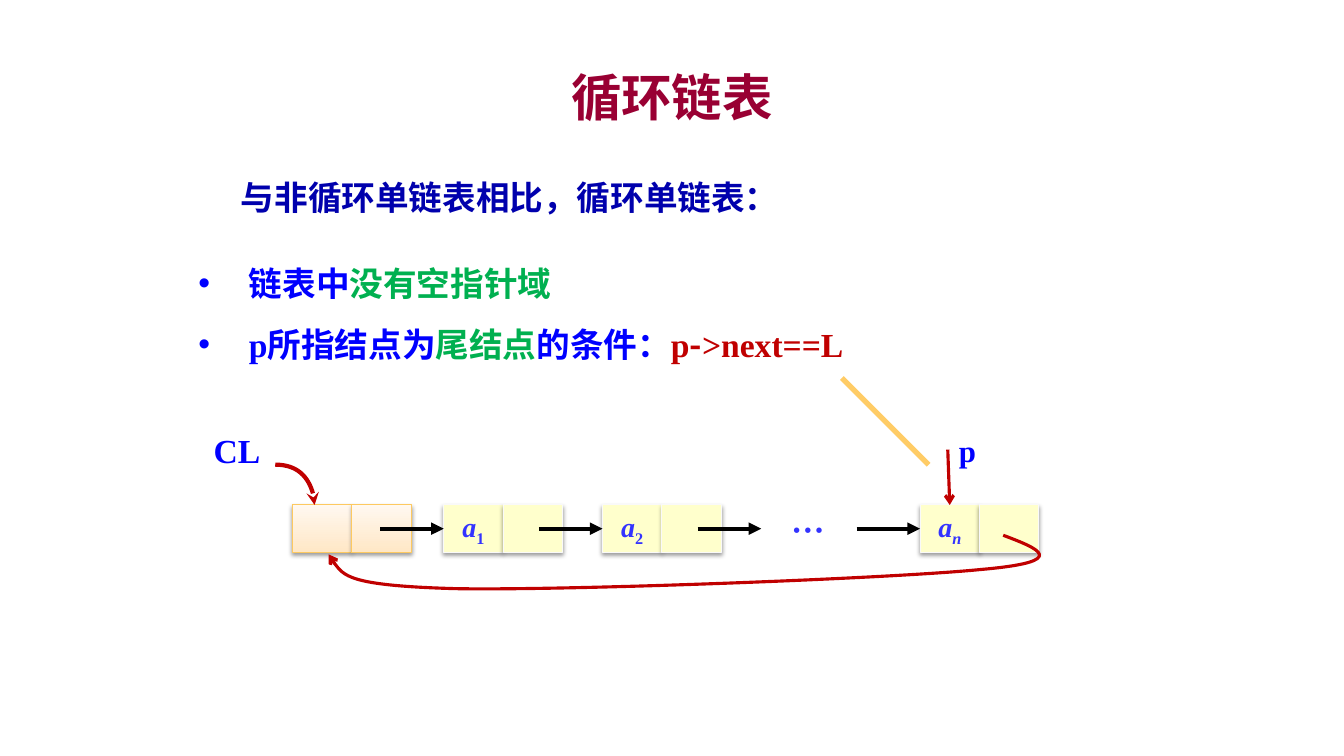
from lxml.etree import SubElement
from pptx import Presentation
from pptx.dml.color import RGBColor
from pptx.enum.shapes import MSO_CONNECTOR, MSO_SHAPE
from pptx.enum.text import MSO_ANCHOR, PP_ALIGN
from pptx.oxml import parse_xml
from pptx.oxml.ns import nsdecls, qn
from pptx.util import Inches, Pt

COLORS = {
    "title": "990033", "intro": "0000AD", "blue": "0000FF", "green": "00B050",
    "red": "C00000", "data": "3333FF", "node": "FFFFCC", "node_edge": "F9F9F9",
    "head_bottom": "FFE7C6", "head_top": "FFF8F0", "head_edge": "FDC960",
    "link": "000000", "pointer": "FFCC66",
}
SERIF, SANS = "Times New Roman", "Noto Sans CJK SC"
CELL_W, CELL_H, ROW_Y = 0.59, 0.47, 5.01
HEAD_X, FIRST_X, STEP = 2.9, 4.4, 1.575
LINK_Y, LINK_LENGTH = ROW_Y + CELL_H / 2, 0.63


def rgb(name):
    return RGBColor.from_string(COLORS[name])


def write(paragraph, text, size=24, color="blue", font=SERIF, italic=False, baseline=0):
    run = paragraph.add_run()
    run.text = text
    run.font.size = Pt(size)
    run.font.bold = True
    run.font.italic = italic
    run.font.color.rgb = rgb(color)
    run.font.name = font
    properties = run.font._element
    SubElement(properties, qn("a:ea")).set("typeface", SANS)
    if baseline:
        properties.set("baseline", str(baseline * 1000))


prs = Presentation()
prs.slide_width, prs.slide_height = Inches(13.33), Inches(7.5)
slide = prs.slides.add_slide(prs.slide_layouts[6])
shapes = slide.shapes

# Bulleted properties
properties_box = shapes.add_textbox(Inches(1.87), Inches(2.36), Inches(7.75), Inches(1.24))
properties_box.text_frame.word_wrap = True
bullets = [
    [("链表中", "blue", SERIF), ("没有空指针域", "green", SERIF)],
    [("p所指结点为", "blue", SERIF), ("尾结点", "green", SERIF), ("的条件：", "blue", SERIF),
     ("p", "red", SERIF), ("-", "red", SANS), (">next==L", "red", SERIF)],
]
for index, parts in enumerate(bullets):
    frame = properties_box.text_frame
    paragraph = frame.paragraphs[0] if index == 0 else frame.add_paragraph()
    layout = paragraph._p.get_or_add_pPr()
    layout.set("marL", str(Inches(0.5)))
    layout.set("indent", str(Inches(-0.5)))
    SubElement(layout, qn("a:buFont")).set("typeface", "Arial")
    SubElement(layout, qn("a:buChar")).set("char", "•")
    paragraph.line_spacing = 1.5
    for text, color, font in parts:
        write(paragraph, text, color=color, font=font)

# Title, introduction and labels
labels = [
    ("循环链表", 1, 0.58, 11.33, 0.75, 36, "title", SANS, PP_ALIGN.CENTER, MSO_ANCHOR.MIDDLE),
    ("与非循环单链表相比，循环单链表：", 2.29, 1.71, 6.64, 0.51, 24, "intro", SANS,
     PP_ALIGN.LEFT, MSO_ANCHOR.TOP),
    ("…", 7.7, 5.01, 0.63, 0.5, 24, "data", SANS, PP_ALIGN.CENTER, MSO_ANCHOR.TOP),
    ("CL", 2.02, 4.22, 0.79, 0.5, 24, "blue", SERIF, PP_ALIGN.LEFT, MSO_ANCHOR.TOP),
    ("p", 9.4, 4.23, 0.39, 0.47, 22, "blue", SERIF, PP_ALIGN.CENTER, MSO_ANCHOR.TOP),
]
for text, x, y, width, height, size, color, font, align, anchor in labels:
    label = shapes.add_textbox(Inches(x), Inches(y), Inches(width), Inches(height))
    label.text_frame.word_wrap = True
    label.text_frame.vertical_anchor = anchor
    label.text_frame.paragraphs[0].alignment = align
    write(label.text_frame.paragraphs[0], text, size=size, color=color, font=font)

# List nodes: a data cell and a pointer cell each
nodes = [(HEAD_X, ""), (FIRST_X, "1"), (FIRST_X + STEP, "2"), (FIRST_X + 3 * STEP, "n")]
data_cells = {}
for node_x, subscript in nodes:
    for column in range(2):
        cell = shapes.add_shape(MSO_SHAPE.RECTANGLE, Inches(node_x + column * CELL_W),
                                Inches(ROW_Y), Inches(CELL_W), Inches(CELL_H))
        if subscript:
            cell.fill.solid()
            cell.fill.fore_color.rgb = rgb("node")
        else:
            cell.fill.gradient()
            cell.fill.gradient_angle = 90
            for stop, color in zip(cell.fill.gradient_stops, ("head_bottom", "head_top")):
                stop.color.rgb = rgb(color)
        cell.line.color.rgb = rgb("node_edge" if subscript else "head_edge")
        cell.line.width = Pt(0.75)
        cell.element.spPr.append(parse_xml(
            f'<a:effectLst {nsdecls("a")}><a:outerShdw blurRad="{Pt(3.1)}" dist="{Pt(1.6)}"'
            ' dir="5400000" rotWithShape="0"><a:srgbClr val="000000"><a:alpha val="38000"/>'
            '</a:srgbClr></a:outerShdw></a:effectLst>'))
        if subscript and column == 0:
            data_cells[subscript] = cell
            cell.text_frame.word_wrap = False
            cell.text_frame.vertical_anchor = MSO_ANCHOR.MIDDLE
            paragraph = cell.text_frame.paragraphs[0]
            paragraph.alignment = PP_ALIGN.CENTER
            write(paragraph, "a", size=20, color="data", italic=True)
            write(paragraph, subscript, size=20, color="data",
                  italic=subscript == "n", baseline=-25)

# Straight links: start, end, colour, width, arrowhead, cell and side joined
straight_links = [
    ((FIRST_X + i * STEP - LINK_LENGTH, LINK_Y), (FIRST_X + i * STEP, LINK_Y),
     "link", 3, "triangle", data_cells.get(target), 1)
    for i, target in enumerate(["1", "2", "", "n"])
]
straight_links += [
    ((9.4, 4.46), (9.41, ROW_Y), "red", 2.25, "arrow", data_cells["n"], 0),
    ((8.35, 3.75), (9.21, 4.61), "pointer", 3.75, None, None, None),
]
drawn_links = []
for start, end, color, width, arrowhead, target_cell, side in straight_links:
    link = shapes.add_connector(MSO_CONNECTOR.STRAIGHT, *map(Inches, start + end))
    if target_cell is not None:
        link.end_connect(target_cell, side)
    drawn_links.append((link, color, width, arrowhead))

# Curved links: a start point, then two control points and an end for each segment
curved_links = [
    ([(2.73, 4.61), (2.95, 4.61), (3.12, 4.79), (3.12, 5.01)], 3, "stealth"),
    ([(9.95, 5.31), (10.29, 5.44), (10.64, 5.57), (9.73, 5.65),
      (8.83, 5.74), (5.6, 5.86), (4.52, 5.84),
      (3.44, 5.81), (3.35, 5.66), (3.26, 5.5)], 2.25, "arrow"),
]
for points, width, arrowhead in curved_links:
    corners = [(Inches(x), Inches(y)) for x, y in points]
    builder = shapes.build_freeform(*corners[0])
    builder.add_line_segments(corners[1:], close=False)
    curve = builder.convert_to_shape()
    outline = next(curve.element.iter(qn("a:path")))
    outline.set("fill", "none")
    steps = outline.findall(qn("a:lnTo"))
    for first in range(0, len(steps), 3):
        bezier = SubElement(outline, qn("a:cubicBezTo"))
        for step in steps[first:first + 3]:
            bezier.append(step[0])
            outline.remove(step)
    curve.fill.background()
    drawn_links.append((curve, "red", width, arrowhead))

for link, color, width, arrowhead in drawn_links:
    link.line.color.rgb = rgb(color)
    link.line.width = Pt(width)
    if arrowhead:
        SubElement(link.line._get_or_add_ln(), qn("a:tailEnd")).set("type", arrowhead)
    SubElement(link.element.spPr, qn("a:effectLst"))

prs.save("out.pptx")
